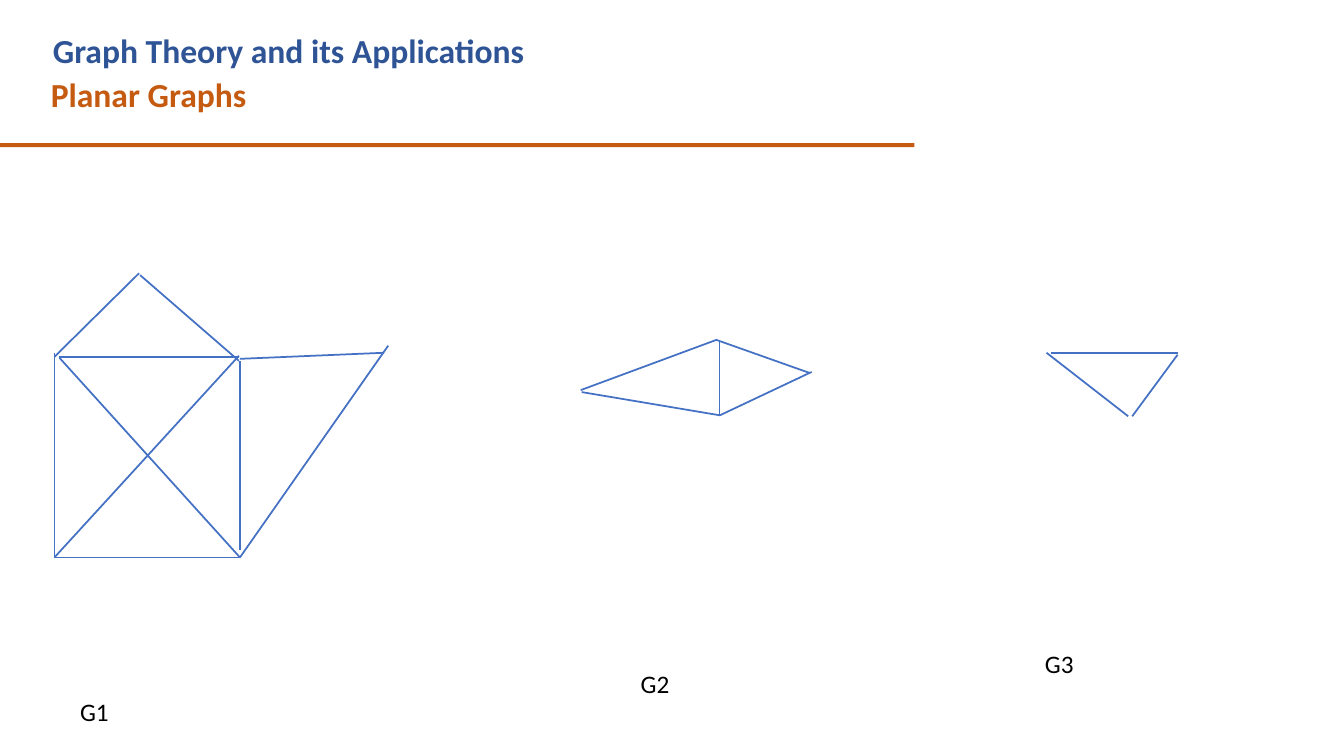
from lxml import etree
from pptx import Presentation
from pptx.dml.color import RGBColor
from pptx.enum.shapes import MSO_CONNECTOR, MSO_SHAPE
from pptx.enum.text import MSO_ANCHOR, MSO_AUTO_SIZE, PP_ALIGN
from pptx.oxml.ns import qn
from pptx.util import Inches, Pt

COLORS = {"title": "2E5496", "accent": "C55A11", "edge": "4471C4", "text": "000000"}
FONT = "Calibri"
INSET = Pt(1)

HOUSE_EDGES = [
    (0, 0.79, 0, 2.82),
    (0.05, 0.83, 1.83, 0.83),
    (1.84, 0.87, 1.84, 2.75),
    (0, 2.82, 1.83, 2.82),
    (0, 0.83, 0.84, 0),
    (0.85, 0.02, 1.83, 0.87),
    (1.84, 0.85, 3.27, 0.79),
    (1.84, 2.82, 3.31, 0.72),
    (0, 2.82, 1.83, 0.82),
    (0.05, 0.84, 1.84, 2.82),
]
KITE_EDGES = [
    (0, 0.5, 1.35, 0),
    (0.01, 0.52, 1.38, 0.75),
    (1.34, 0, 2.27, 0.33),
    (1.38, 0.75, 2.29, 0.32),
]
TRIANGLE_EDGES = [
    (0.04, 0, 1.3, 0),
    (0, 0, 0.81, 0.63),
    (0.85, 0.63, 1.3, 0.02),
]


def color(name):
    return RGBColor.from_string(COLORS[name])


def format_span(span, size, color_name, bold=False):
    span.font.name = FONT
    span.font.size = Pt(size)
    span.font.bold = bold
    span.font.color.rgb = color(color_name)


def format_frame(frame, wrap):
    frame.margin_left = frame.margin_right = frame.margin_bottom = 0
    frame.margin_top = INSET
    frame.vertical_anchor = MSO_ANCHOR.TOP
    frame.auto_size = MSO_AUTO_SIZE.NONE
    frame.word_wrap = wrap


def add_heading(page, left, top, width, height):
    title = page.shapes.title
    title.left, title.top = Inches(left), Inches(top)
    title.width, title.height = Inches(width), Inches(height)
    frame = title.text_frame
    frame.text = "Graph Theory and its Applications \vPlanar Graphs"
    format_frame(frame, True)
    para = frame.paragraphs[0]
    para.alignment = PP_ALIGN.LEFT
    para.line_spacing = 1.09
    para.space_before = Pt(0)
    properties = para._p.get_or_add_pPr()
    properties.set("marL", str(INSET))
    properties.set("indent", str(Inches(0.02)))
    for span, name in zip(para.runs, ("title", "accent")):
        format_span(span, 24, name, True)


def add_rule(page, left, top, width, height):
    rule = page.shapes.add_shape(
        MSO_SHAPE.RECTANGLE, Inches(left), Inches(top), Inches(width), Inches(height)
    )
    rule.shadow.inherit = False
    rule.fill.solid()
    rule.fill.fore_color.rgb = color("accent")
    rule.line.fill.background()


def add_graph(page, left, top, edges):
    builder = page.shapes.build_freeform(
        Inches(left + edges[0][0]), Inches(top + edges[0][1])
    )
    for index, (x1, y1, x2, y2) in enumerate(edges):
        if index:
            builder.move_to(Inches(left + x1), Inches(top + y1))
        builder.add_line_segments(
            [(Inches(left + x2), Inches(top + y2))], close=False
        )
    graph = builder.convert_to_shape()
    graph.shadow.inherit = False
    graph.fill.background()
    graph.line.color.rgb = color("edge")
    graph.line.width = Pt(1.25)


def add_diagonal(page, x, top, bottom):
    diagonal = page.shapes.add_connector(
        MSO_CONNECTOR.STRAIGHT, Inches(x), Inches(top), Inches(x), Inches(bottom)
    )
    diagonal.line.color.rgb = color("edge")
    diagonal.line.width = Pt(0.75)
    etree.SubElement(diagonal._element.spPr, qn("a:effectLst"))


def add_label(page, left, top, text):
    box = page.shapes.add_textbox(
        Inches(left), Inches(top), Inches(0.31), Inches(0.33)
    )
    frame = box.text_frame
    frame.text = text
    format_frame(frame, False)
    para = frame.paragraphs[0]
    para._p.get_or_add_pPr().set("marL", str(INSET))
    format_span(para.runs[0], 18, "text")


def add_house_graph(page, left, top):
    add_graph(page, left, top, HOUSE_EDGES)
    add_label(page, left + 0.24, top + 4.18, "G1")


def add_kite_graph(page, left, top):
    add_graph(page, left, top, KITE_EDGES)
    add_diagonal(page, left + 1.38, top + 0.02, top + 0.75)
    add_label(page, left + 0.58, top + 3.25, "G2")


def add_triangle_graph(page, left, top):
    add_graph(page, left, top, TRIANGLE_EDGES)
    add_label(page, left - 0.03, top + 2.92, "G3")


def main():
    deck = Presentation()
    deck.slide_width, deck.slide_height = Inches(13.33), Inches(7.5)
    page = deck.slides.add_slide(deck.slide_layouts[5])
    add_heading(page, 0.49, 0.25, 6.45, 0.9)
    add_rule(page, 0, 1.42, 9.07, 0.04)
    add_house_graph(page, 0.54, 2.71)
    add_kite_graph(page, 5.76, 3.37)
    add_triangle_graph(page, 10.38, 3.5)
    deck.save("out.pptx")


if __name__ == "__main__":
    main()
